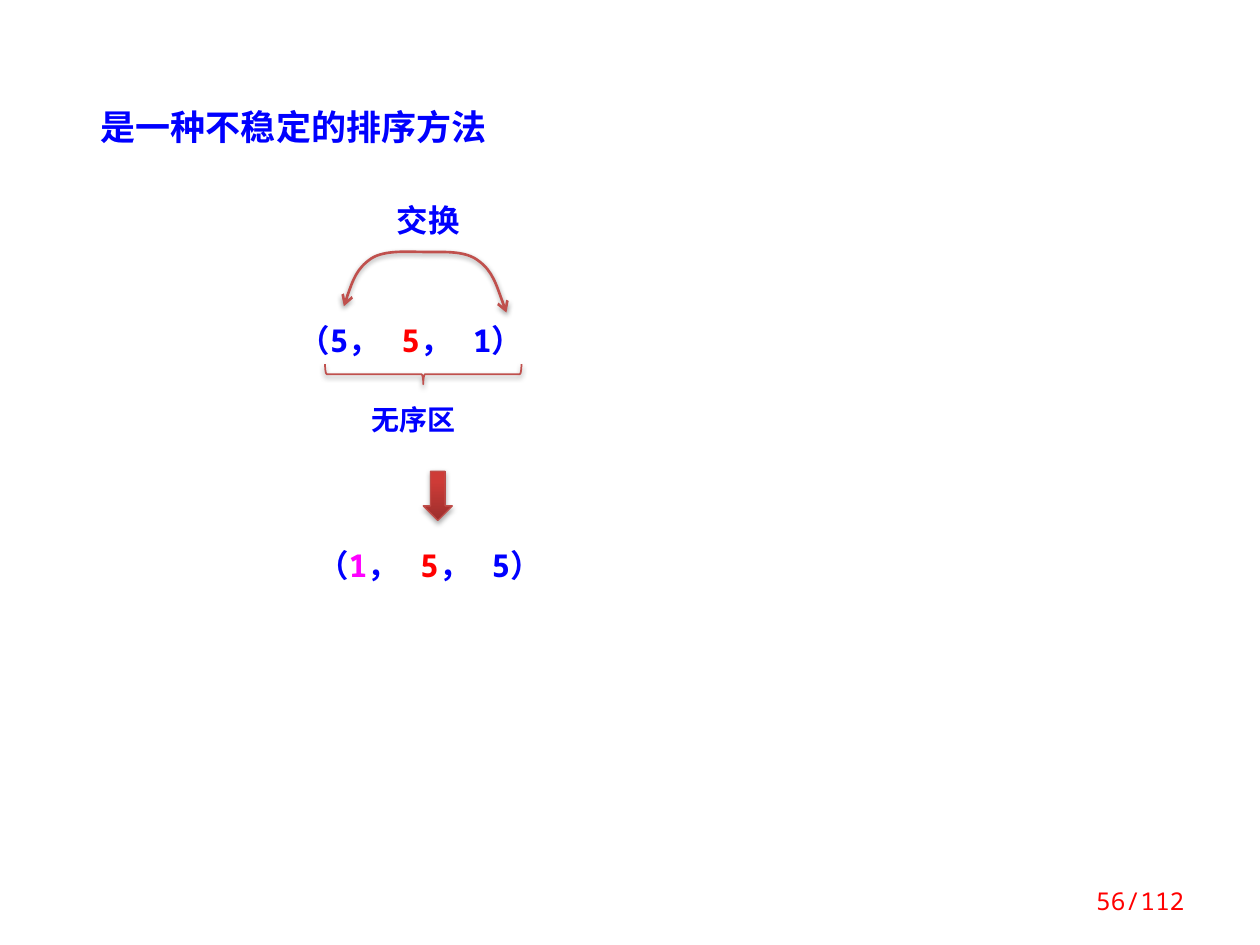
from lxml import etree
from pptx import Presentation
from pptx.dml.color import RGBColor
from pptx.enum.shapes import MSO_SHAPE
from pptx.enum.text import MSO_ANCHOR, PP_ALIGN
from pptx.oxml.ns import qn
from pptx.util import Pt

LEFT, RIGHT = PP_ALIGN.LEFT, PP_ALIGN.RIGHT
MIDDLE, TOP = MSO_ANCHOR.MIDDLE, MSO_ANCHOR.TOP
RIGHT_BRACE, DOWN_ARROW = MSO_SHAPE.RIGHT_BRACE, MSO_SHAPE.DOWN_ARROW
TITLE_ONLY = 5
SANS, MONO = "Noto Sans CJK SC", "Noto Sans Mono"
COLORS = {
    "blue": "0000FF", "red": "FF0000", "magenta": "FF00FF", "line": "C0504D",
    "arrow_line": "BF4C48", "arrow_dark": "9C2F2D", "arrow_light": "CE3B37",
    "shadow": "000000",
}
GAP_SPACING = 8


def rgb(name):
    """Return the named colour."""
    return RGBColor.from_string(COLORS[name])


def write_runs(shape, parts, size, font=MONO, bold=True, align=LEFT, anchor=TOP):
    """Fill a shape with one paragraph of (text, colour) runs."""
    frame = shape.text_frame
    frame.word_wrap = True
    frame.vertical_anchor = anchor
    paragraph = frame.paragraphs[0]
    paragraph.alignment = align
    for text, color in parts:
        run = paragraph.add_run()
        run.text = text
        run.font.size, run.font.bold, run.font.name = Pt(size), bold, font
        run.font.color.rgb = rgb(color)
        properties = run.font._element
        etree.SubElement(properties, qn("a:ea")).set("typeface", SANS)
        if text == " ":
            properties.set("spc", str(GAP_SPACING * 100))
    return paragraph


def add_label(slide, box, parts, size, **style):
    """Add a text box at the given box in points."""
    shape = slide.shapes.add_textbox(*map(Pt, box))
    return write_runs(shape, parts, size, **style)


def add_sequence(slide, box, numbers):
    """Write a bracketed list of (number, colour) pairs."""
    parts = [("（", "blue")]
    for index, number in enumerate(numbers):
        if index:
            parts += [("，", "blue"), (" ", "blue")]
        parts.append(number)
    add_label(slide, box, parts + [("）", "blue")], 18)


def style_outline(shape, color, width, opacity):
    """Set the outline and a soft shadow below the shape."""
    shape.line.color.rgb = rgb(color)
    shape.line.width = Pt(width)
    shape.shadow.inherit = False
    effects = shape._element.spPr.find(qn("a:effectLst"))
    shadow = etree.SubElement(effects, qn("a:outerShdw"), blurRad=str(Pt(3.1)),
                              dist=str(Pt(1.6)), dir="5400000", rotWithShape="0")
    tint = etree.SubElement(shadow, qn("a:srgbClr"), val=COLORS["shadow"])
    etree.SubElement(tint, qn("a:alpha"), val=str(opacity * 1000))


def add_swap_curve(slide, left, top):
    """Draw the double-headed curve through cubic Bezier segments."""
    start = (0, 32.4)
    segments = [
        [(3.6, 21.6), (7.2, 10.8), (15.8, 5)],
        [(23.8, 0), (37.4, 1.4), (48.2, 1.4)],
        [(58.3, 1.4), (69.8, 0.7), (77, 6.5)],
        [(85, 12.2), (88.6, 24.5), (92.9, 36)],
    ]

    def place(point):
        return Pt(left + point[0]), Pt(top + point[1])

    builder = slide.shapes.build_freeform(*place(start))
    builder.add_line_segments([place(segment[-1]) for segment in segments], close=False)
    curve = builder.convert_to_shape()
    curve.fill.background()
    outline = curve._element.spPr.find(".//" + qn("a:path"))
    for line, segment in zip(outline.findall(qn("a:lnTo")), segments):
        bezier = etree.Element(qn("a:cubicBezTo"))
        for point in segment:
            x, y = place(point)
            etree.SubElement(bezier, qn("a:pt"), x=str(x - curve.left), y=str(y - curve.top))
        outline.replace(line, bezier)
    style_outline(curve, "line", 1.5, 38)
    for end in ("a:headEnd", "a:tailEnd"):
        etree.SubElement(curve.line._get_or_add_ln(), qn(end), type="arrow")


def add_title(slide, box):
    """Place the statement in the title placeholder."""
    title = slide.shapes.title
    title.left, title.top, title.width, title.height = map(Pt, box)
    write_runs(title, [("是一种不稳定的排序方法", "blue")], 20, font=SANS, anchor=MIDDLE)


def add_swap_step(slide, box):
    """Show the unordered area and the swap of its ends."""
    left, top, width, height = box
    add_sequence(slide, (left, top + 68.4, width, 28.8),
                 [("5", "blue"), ("5", "red"), ("1", "blue")])
    caption = add_label(slide, (left + 41.8, top + height - 23, 70.6, 23),
                        [("无序区", "blue")], 16)
    caption.line_spacing = 0.8
    brace = slide.shapes.add_shape(RIGHT_BRACE, Pt(left + 72.7), Pt(top + 46.1),
                                   Pt(11.5), Pt(112.3))
    brace.rotation = 90
    brace.fill.background()
    style_outline(brace, "line", 1, 38)
    add_swap_curve(slide, left + 33.1, top + 31)
    add_label(slide, (left + 56.2, top, 56.2, 28.8), [("交换", "blue")], 18, font=SANS)


def add_result_step(slide, box):
    """Show the sequence after the swap below a block arrow."""
    left, top, width, height = box
    add_sequence(slide, (left, top + height - 28.8, width, 28.8),
                 [("1", "magenta"), ("5", "red"), ("5", "blue")])
    arrow = slide.shapes.add_shape(DOWN_ARROW, Pt(left + 67.7), Pt(top), Pt(16.6), Pt(28.1))
    arrow.fill.gradient()
    arrow.fill.gradient_angle = 90
    for stop, color, position in zip(arrow.fill.gradient_stops,
                                     ("arrow_dark", "arrow_light"), (0, 0.8)):
        stop.color.rgb = rgb(color)
        stop.position = position
    style_outline(arrow, "arrow_line", 0.75, 35)


def add_page_number(slide, box):
    """Write the page count at the lower right."""
    add_label(slide, box, [("56/112", "red")], 14, bold=False, align=RIGHT, anchor=MIDDLE)


def main():
    """Build and save the presentation."""
    presentation = Presentation()
    presentation.slide_width, presentation.slide_height = Pt(720), Pt(540)
    slide = presentation.slides.add_slide(presentation.slide_layouts[TITLE_ONLY])
    add_title(slide, (50.4, 56.2, 376.6, 31.7))
    add_swap_step(slide, (163.4, 111.6, 180, 141.8))
    add_result_step(slide, (174.2, 269.3, 180, 67.7))
    add_page_number(slide, (596.2, 500.4, 87.8, 28.8))
    presentation.save("out.pptx")


if __name__ == "__main__":
    main()
